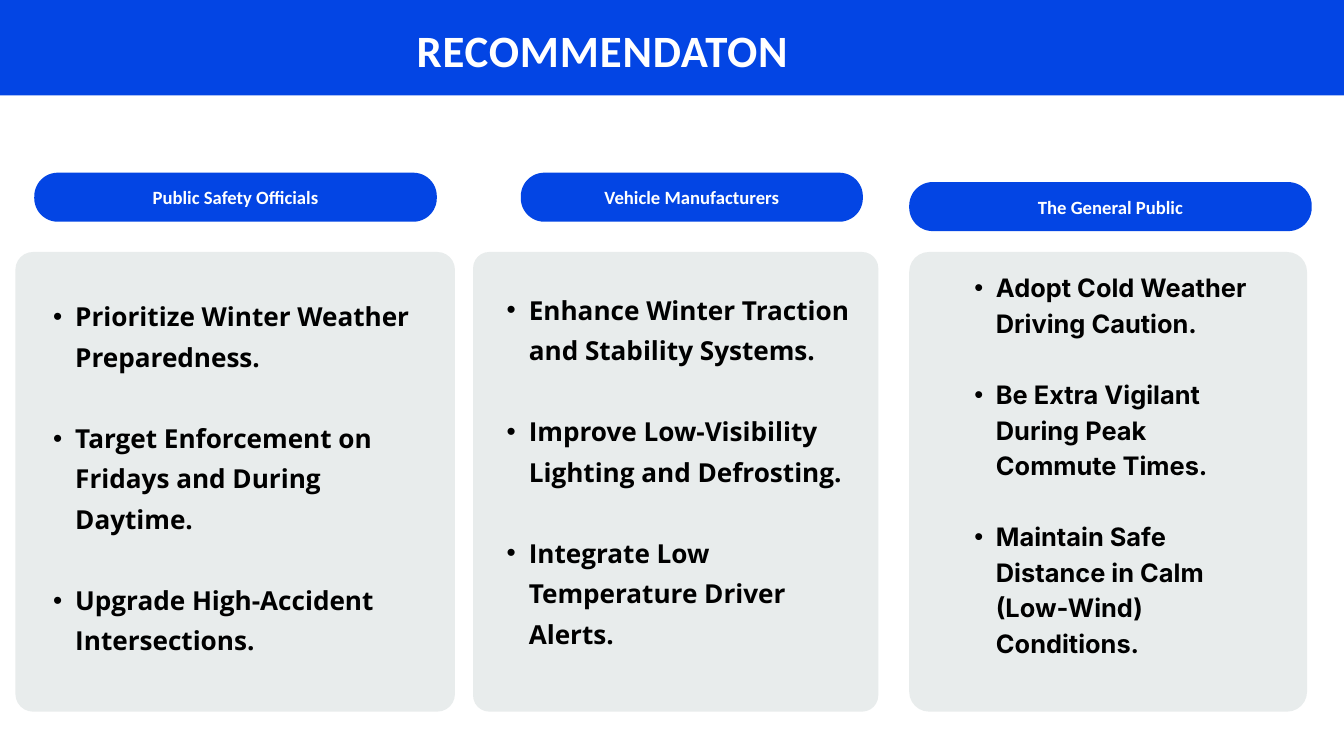
from dataclasses import dataclass

from lxml import etree
from pptx import Presentation
from pptx import util as u
from pptx.dml.color import RGBColor
from pptx.enum import shapes, text
from pptx.oxml import ns


@dataclass(frozen=True)
class Theme:
    blue: str = "0345E4"
    panel: str = "E8ECEC"
    white: str = "FFFFFF"
    black: str = "000000"
    heading_font: str = "Calibri"
    title_size: float = 48
    label_size: float = 20


@dataclass(frozen=True)
class Column:
    label: str
    pill: tuple
    panel: tuple
    corner: float
    body: tuple
    font: str
    size: float
    line: float
    indent: float
    items: tuple


COLUMNS = (
    Column("Public Safety Officials", (0.51, 2.57, 5.99, 0.73), (0.23, 3.75, 6.54, 6.84), 0.04,
           (0.46, 4.34, 6.02, 6.5), "Open Sans", 28, 43.4, 0.33,
           ("Prioritize Winter Weather Preparedness.",
            "Target Enforcement on Fridays and During Daytime.",
            "Upgrade High-Accident Intersections.")),
    Column("Vehicle Manufacturers", (7.75, 2.57, 5.09, 0.73), (7.04, 3.75, 6.03, 6.84), 0.04,
           (7.21, 4.24, 5.68, 5.91), "Open Sans", 28, 43.4, 0.33,
           ("Enhance Winter Traction and Stability Systems.",
            "Improve Low-Visibility Lighting and Defrosting.",
            "Integrate Low Temperature Driver Alerts.")),
    Column("The General Public", (13.53, 2.71, 5.99, 0.73), (13.53, 3.75, 5.92, 6.84), 0.05,
           (14.18, 3.98, 4.61, 6.24), "Inter", 27.2, 38.1, 0.32,
           ("Adopt Cold Weather Driving Caution.",
            "Be Extra Vigilant During Peak Commute Times.",
            "Maintain Safe Distance in Calm (Low-Wind) Conditions.")),
)


def write(paragraph, content, *, font, size, color, line, align=text.PP_ALIGN.LEFT,
          before=0, spacing=0, indent=0):
    paragraph.alignment = align
    paragraph.line_spacing = u.Pt(line)
    paragraph.space_before = u.Pt(before)
    paragraph.space_after = u.Pt(0)
    if indent:
        properties = paragraph._p.get_or_add_pPr()
        properties.set("marL", str(u.Inches(2 * indent)))
        properties.set("indent", str(-u.Inches(indent)))
        etree.SubElement(properties, ns.qn("a:buChar")).set("char", "•")
    run = paragraph.add_run()
    run.text = content
    run.font.name = font
    run.font.size = u.Pt(size)
    run.font.bold = True
    run.font.color.rgb = RGBColor.from_string(color)
    if spacing:
        run._r.get_or_add_rPr().set("spc", str(round(spacing * 100)))


class SlideBuilder:
    def __init__(self, slide, theme):
        self.slide = slide
        self.theme = theme
        self.title_placeholder, *self.bodies = slide.placeholders

    def block(self, kind, box, color, corner=None):
        shape = self.slide.shapes.add_shape(kind, *map(u.Inches, box))
        shape.shadow.inherit = False
        shape.fill.solid()
        shape.fill.fore_color.rgb = RGBColor.from_string(color)
        shape.line.fill.background()
        if corner is not None:
            shape.adjustments[0] = corner
        return shape

    def frame(self, shape, anchor, inset=0):
        frame = shape.text_frame
        frame.word_wrap = True
        frame.auto_size = text.MSO_AUTO_SIZE.NONE
        frame.vertical_anchor = anchor
        frame.margin_left = frame.margin_right = u.Inches(inset)
        frame.margin_top = frame.margin_bottom = u.Inches(inset)
        return frame

    def place(self, placeholder, box):
        placeholder.left, placeholder.top, placeholder.width, placeholder.height = map(u.Inches, box)
        self.slide.shapes._spTree.append(placeholder._element)
        return self.frame(placeholder, text.MSO_ANCHOR.TOP)

    def title(self, content, box):
        frame = self.place(self.title_placeholder, box)
        write(frame.paragraphs[0], content, font=self.theme.heading_font, size=self.theme.title_size,
              color=self.theme.white, line=67.2, spacing=0.9)

    def pill(self, content, box):
        shape = self.block(shapes.MSO_SHAPE.ROUNDED_RECTANGLE, box, self.theme.blue, 0.48)
        frame = self.frame(shape, text.MSO_ANCHOR.MIDDLE, 0.06)
        frame.margin_bottom = u.Inches(0.11)
        write(frame.paragraphs[0], content, font=self.theme.heading_font, size=self.theme.label_size,
              color=self.theme.white, line=28, align=text.PP_ALIGN.CENTER)

    def bullets(self, column):
        frame = self.place(self.bodies.pop(0), column.body)
        for number, item in enumerate(column.items):
            paragraph = frame.add_paragraph() if number else frame.paragraphs[0]
            write(paragraph, item, font=column.font, size=column.size, color=self.theme.black,
                  line=column.line, before=column.line if number else 0, indent=column.indent)

    def column(self, column):
        self.pill(column.label, column.pill)
        self.block(shapes.MSO_SHAPE.ROUNDED_RECTANGLE, column.panel, self.theme.panel, column.corner)
        self.bullets(column)

    def remove_unused(self):
        for placeholder in self.bodies:
            self.slide.shapes._spTree.remove(placeholder._element)


def main():
    presentation = Presentation()
    presentation.slide_width = u.Inches(20)
    presentation.slide_height = u.Inches(11.25)
    layout = presentation.slide_layouts.get_by_name("Comparison")
    builder = SlideBuilder(presentation.slides.add_slide(layout), Theme())
    builder.block(shapes.MSO_SHAPE.RECTANGLE, (0, 0, 20, 1.42), builder.theme.blue)
    builder.title("RECOMMENDATON", (6.2, 0.21, 7.89, 0.89))
    for column in COLUMNS:
        builder.column(column)
    builder.remove_unused()
    presentation.save("out.pptx")


if __name__ == "__main__":
    main()
